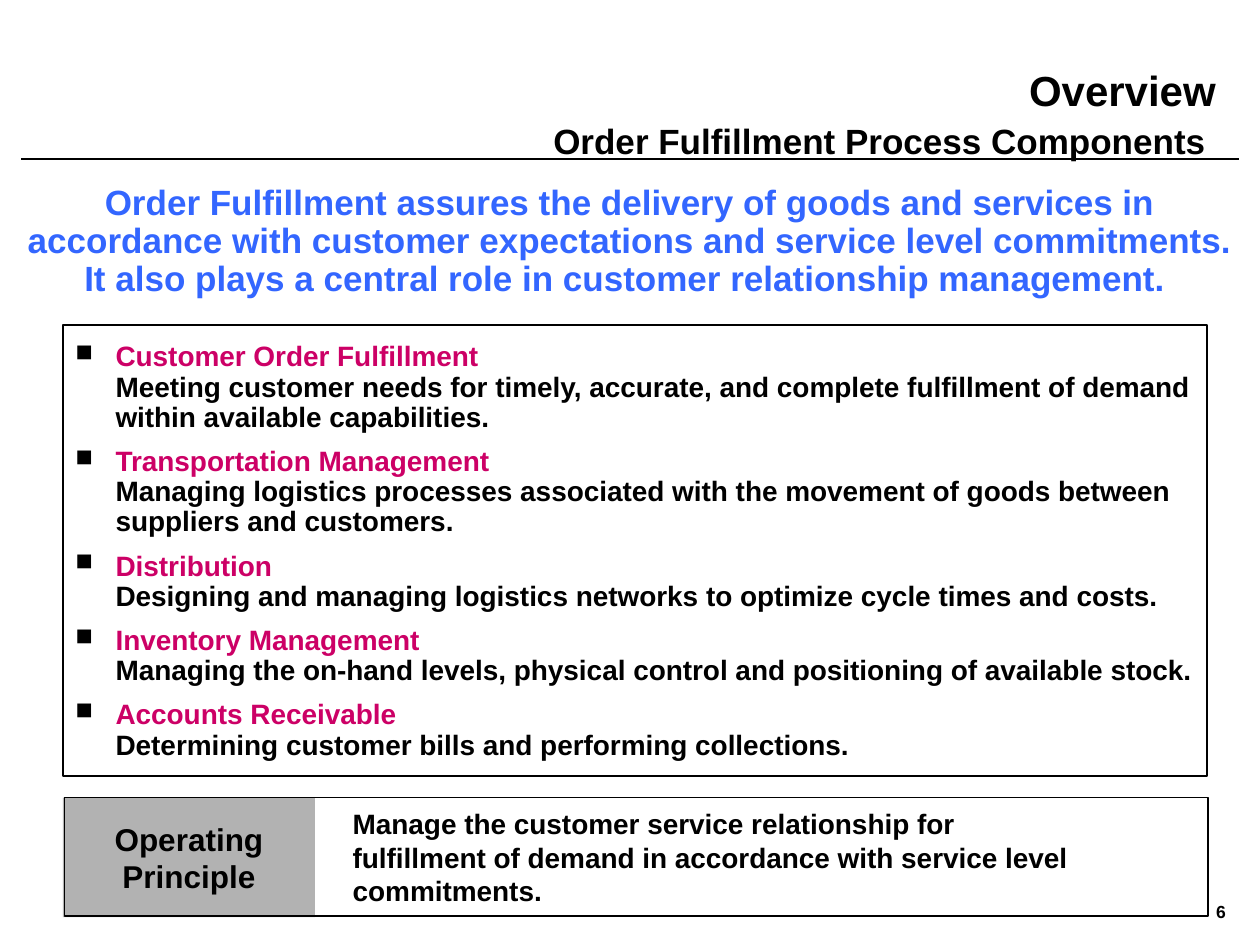
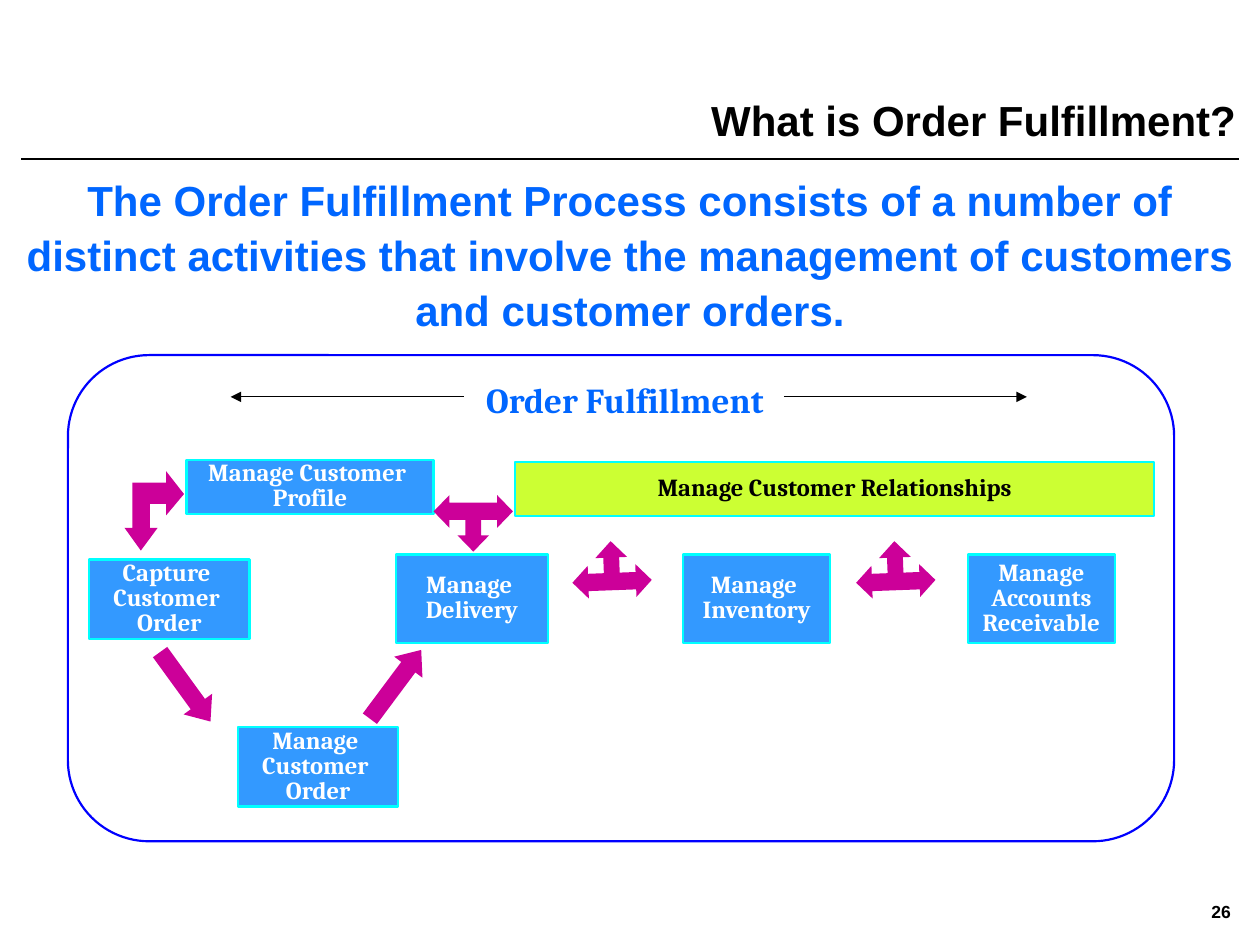
from lxml.etree import SubElement as Sub
from pptx import Presentation
from pptx.dml.color import RGBColor as Rgb
from pptx.enum.shapes import MSO_CONNECTOR as Link, MSO_SHAPE as Kind
from pptx.enum.text import MSO_ANCHOR as Anchor, MSO_AUTO_SIZE as Fit, PP_ALIGN as Align
from pptx.oxml.ns import qn
from pptx.util import Cm, Pt

# ---- Content (lengths in cm: left, top, width, height) ----
HUES = {"black": "000000", "white": "FFFFFF", "grey": "B2B2B2", "rose": "CC0066",
        "lead": "3366FF", "blue": "0066FF", "frame": "0000FF", "box": "3399FF",
        "edge": "00FFFF", "lime": "CCFF33", "arrow": "CC0099"}

LEAD = ("Order Fulfillment assures the delivery of goods and services in accordance with "
        "customer expectations and service level commitments. It also plays a central role "
        "in customer relationship management. ")
PARTS = [
    ("Customer Order Fulfillment",
     "Meeting customer needs for timely, accurate, and complete fulfillment of demand "
     "within available capabilities."),
    ("Transportation Management",
     "Managing logistics processes associated with the movement of goods between "
     "suppliers and customers."),
    ("Distribution",
     "Designing and managing logistics networks to optimize cycle times and costs."),
    ("Inventory Management",
     "Managing the on-hand levels, physical control and positioning of available stock."),
    ("Accounts Receivable", "Determining customer bills and performing collections."),
]
RULE = ("Manage the customer service relationship for fulfillment of demand in accordance "
        "with service level commitments.")

SCOPE = ("The Order Fulfillment Process consists of a number of distinct activities that "
         "involve the management of customers and customer orders.")
STEPS = [
    (["Capture ", "Customer ", "Order"], (1.8, 11.28, 3.23, 1.6)),
    (["Manage ", "Customer ", "Order"], (4.8, 14.66, 3.23, 1.6)),
    (["Manage ", "Delivery"], (7.98, 11.18, 3.07, 1.78)),
    (["Manage ", "Inventory"], (13.77, 11.18, 2.97, 1.78)),
    (["Manage", "Accounts", "Receivable"], (19.51, 11.18, 2.97, 1.78)),
    (["Manage Customer ", "Profile"], (3.76, 9.27, 4.98, 1.09)),
]
TURNS = [(2.87, 13.49, 54), (7.11, 13.44, 306.7)]              # left, top, angle
TEES = [(9.54, 10.55, 180), (12.33, 11.48, -2.1), (18.05, 11.48, -2.1)]  # centre, angle
SPANS = [(9.35, 4.65), (15.8, 20.7)]                           # from x, to x
ELBOW = [(3.71, 9.96), (3.35, 10.39), (3.35, 10.16), (3.02, 10.16), (3.02, 10.64),
         (3.18, 10.64), (2.84, 11.1), (2.51, 10.64), (2.67, 10.64), (2.67, 9.73),
         (3.35, 9.73), (3.35, 9.5)]
# Right half of an upright three-way arrow, from its tip to the foot of the bar
HALF = [(0, -0.57), (0.32, -0.24), (0.16, -0.24), (0.16, 0.07), (0.48, 0.07),
        (0.48, -0.09), (0.8, 0.24), (0.48, 0.57), (0.48, 0.42)]


# ---- Helpers ----
def tint(name):
    return Rgb.from_string(HUES[name])


def place(shape, spot):
    shape.left, shape.top, shape.width, shape.height = map(Cm, spot)


def write(shape, lines, size=16, hue="black", font="Arial", align=Align.LEFT,
          anchor=Anchor.TOP, space=1.0, gap=0, wrap=True, pad=(0.25, 0.13), bullet=False):
    """Each line is a string, or a tuple of (text, hue, size) runs on rows of their own."""
    frame = shape.text_frame
    frame.auto_size = Fit.NONE
    frame.word_wrap, frame.vertical_anchor = wrap, anchor
    frame.margin_left = frame.margin_right = Cm(pad[0])
    frame.margin_top = frame.margin_bottom = Cm(pad[1])
    for at, line in enumerate(lines):
        para = frame.add_paragraph() if at else frame.paragraphs[0]
        if bullet:
            mark(para)
        para.alignment, para.line_spacing = align, space
        para.space_before = Pt(gap if at else 0)
        runs = [(line, hue, size)] if isinstance(line, str) else line
        for row, (text, shade, points) in enumerate(runs):
            if row:
                para.add_line_break()
            run = para.add_run()
            run.text = text
            run.font.name, run.font.size, run.font.bold = font, Pt(points), True
            run.font.color.rgb = tint(shade)
    return shape


def mark(para):
    props = para._p.get_or_add_pPr()
    props.set("marL", str(Cm(0.81)))
    props.set("indent", str(-Cm(0.81)))
    Sub(Sub(props, qn("a:buClr")), qn("a:srgbClr")).set("val", HUES["black"])
    Sub(props, qn("a:buSzPct")).set("val", "85000")
    Sub(props, qn("a:buChar")).set("char", "■")


def paint(shape, fill=None, edge=None, width=1):
    shape.shadow.inherit = False
    if fill:
        shape.fill.solid()
        shape.fill.fore_color.rgb = tint(fill)
    else:
        shape.fill.background()
    if edge:
        shape.line.color.rgb = tint(edge)
        shape.line.width = Pt(width)
    else:
        shape.line.fill.background()
    return shape


def block(slide, spot, kind=Kind.RECTANGLE, **look):
    return paint(slide.shapes.add_shape(kind, *map(Cm, spot)), **look)


def label(slide, spot, lines, **form):
    return write(slide.shapes.add_textbox(*map(Cm, spot)), lines, **form)


def rule(slide, start, end, y, width=1, head=False):
    line = slide.shapes.add_connector(Link.STRAIGHT, Cm(start), Cm(y), Cm(end), Cm(y))
    line.line.color.rgb = tint("black")
    line.line.width = Pt(width)
    if head:
        Sub(line.line._get_or_add_ln(), qn("a:tailEnd")).set("type", "triangle")
    Sub(line._element.spPr, qn("a:effectLst"))


def outline(slide, points, angle=0):
    dots = [(Cm(x), Cm(y)) for x, y in points]
    pen = slide.shapes.build_freeform(*dots[0])
    pen.add_line_segments(dots[1:], close=True)
    shape = paint(pen.convert_to_shape(), fill="arrow")
    shape.rotation = angle


def start(deck, number, title, spot, **form):
    """Slide with the shared rule, page number and title."""
    slide = deck.slides.add_slide(deck.slide_layouts[5])
    rule(slide, 0.43, 24.97, 3.2)
    label(slide, (23.93, 17.81, 1.37, 1.12), [number], size=10,
          align=Align.CENTER, anchor=Anchor.MIDDLE)
    place(slide.shapes.title, spot)
    write(slide.shapes.title, [title], anchor=Anchor.BOTTOM, **form)
    return slide


# ---- Slides ----
def parts(deck):
    slide = start(deck, "6", LEAD, (0, 2.97, 25.4, 3.18), size=20, hue="lead",
                  align=Align.CENTER, space=0.9)
    label(slide, (5.51, 0.64, 19.25, 3.18),
          [(("Overview", "black", 24),),
           (("Order Fulfillment Process Components ", "black", 20),)],
          align=Align.RIGHT, anchor=Anchor.MIDDLE, space=1.1)
    # Component list
    block(slide, (1.27, 6.55, 23.06, 9.09), edge="black")
    label(slide, (1.27, 6.78, 23.29, 8.69),
          [((name, "rose", 16), (text, "black", 16)) for name, text in PARTS],
          space=0.9, gap=8, bullet=True)
    # Operating principle
    tag = block(slide, (1.27, 16.08, 5.08, 2.41), fill="grey")
    write(tag, ["Operating", "Principle"], size=18, align=Align.CENTER,
          anchor=Anchor.MIDDLE, wrap=False)
    label(slide, (6.86, 16.13, 15.46, 2.29), [RULE])
    block(slide, (1.3, 16.08, 23.06, 2.39), edge="black")


def flow(deck):
    slide = start(deck, "26", "What is Order Fulfillment?", (8.03, 1.68, 17.14, 1.37),
                  size=24, align=Align.RIGHT, space=1.1)
    label(slide, (0, 3.28, 25.4, 2.11), [SCOPE], size=24, hue="blue",
          align=Align.CENTER, space=1.1)
    # Panel and its caption
    panel = block(slide, (1.37, 7.16, 22.3, 9.8), Kind.ROUNDED_RECTANGLE,
                  fill="white", edge="frame", width=1.25)
    panel.adjustments[0] = 0.167
    label(slide, (4.88, 7.59, 15.44, 1.02), ["Order Fulfillment"], size=20, hue="blue",
          font="Cambria", align=Align.CENTER, space=0.9)
    for begin, end in SPANS:
        rule(slide, begin, end, 8, width=0.75, head=True)
    # Activities
    wide = (["Manage Customer Relationships"], (10.39, 9.32, 12.88, 1.09))
    looks = [(step, "box", "white") for step in STEPS] + [(wide, "lime", "black")]
    for (lines, spot), fill, hue in looks:
        write(block(slide, spot, fill=fill, edge="edge", width=1.25), lines, size=14,
              hue=hue, font="Cambria", align=Align.CENTER, anchor=Anchor.MIDDLE,
              space=0.85, wrap=False, pad=(0.2, 0.1))
    # Arrows
    for left, top, angle in TURNS:
        arrow = block(slide, (left, top, 1.73, 0.71), Kind.RIGHT_ARROW, fill="arrow")
        arrow.adjustments[1] = 0.61
        arrow.rotation = angle
    outline(slide, ELBOW)
    tee = HALF + [(-x, y) for x, y in HALF[:0:-1]]
    for across, down, angle in TEES:
        outline(slide, [(across + x, down + y) for x, y in tee], angle)


def main():
    deck = Presentation()
    deck.slide_width, deck.slide_height = Cm(25.4), Cm(19.05)
    parts(deck)
    flow(deck)
    deck.save("out.pptx")


if __name__ == "__main__":
    main()
